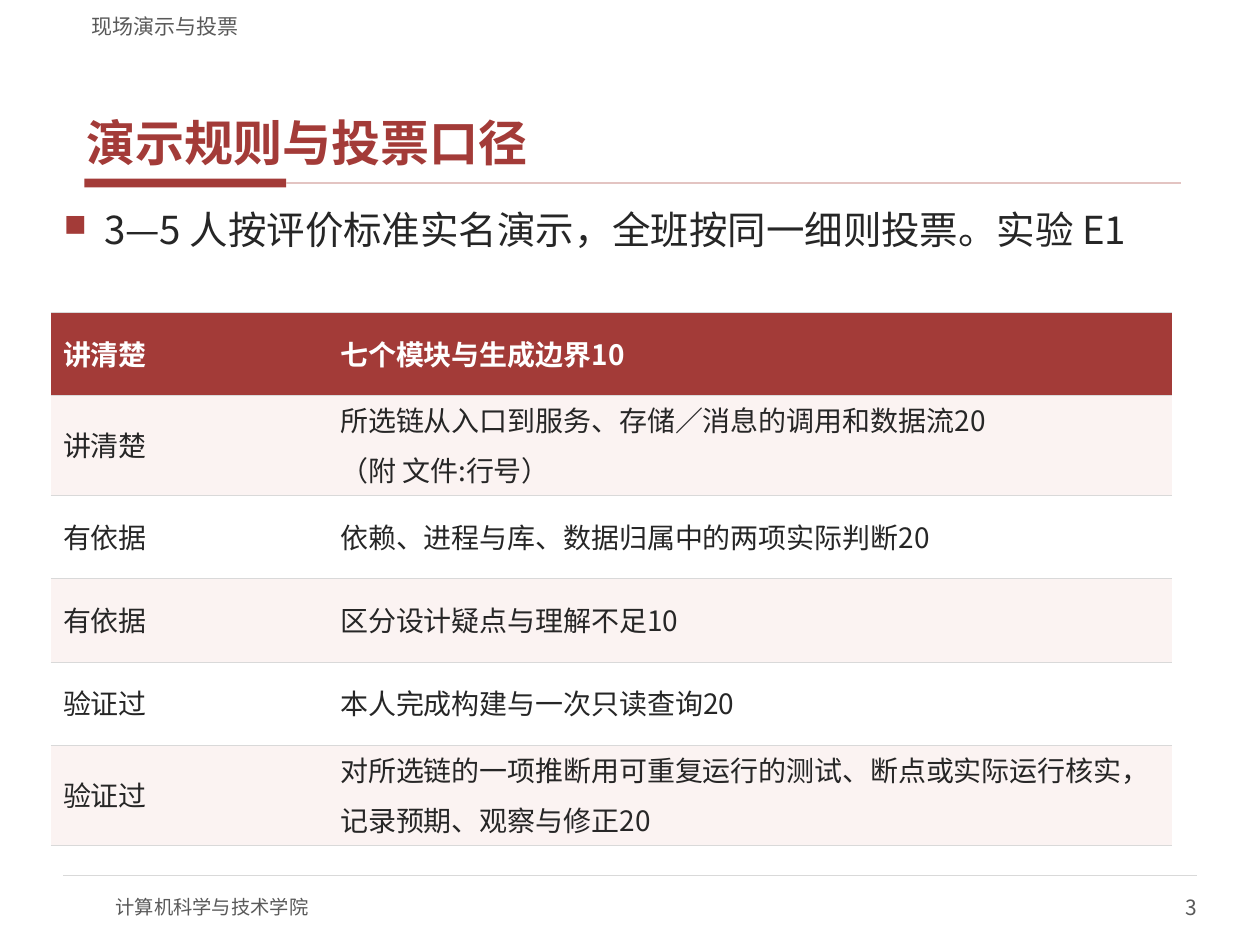
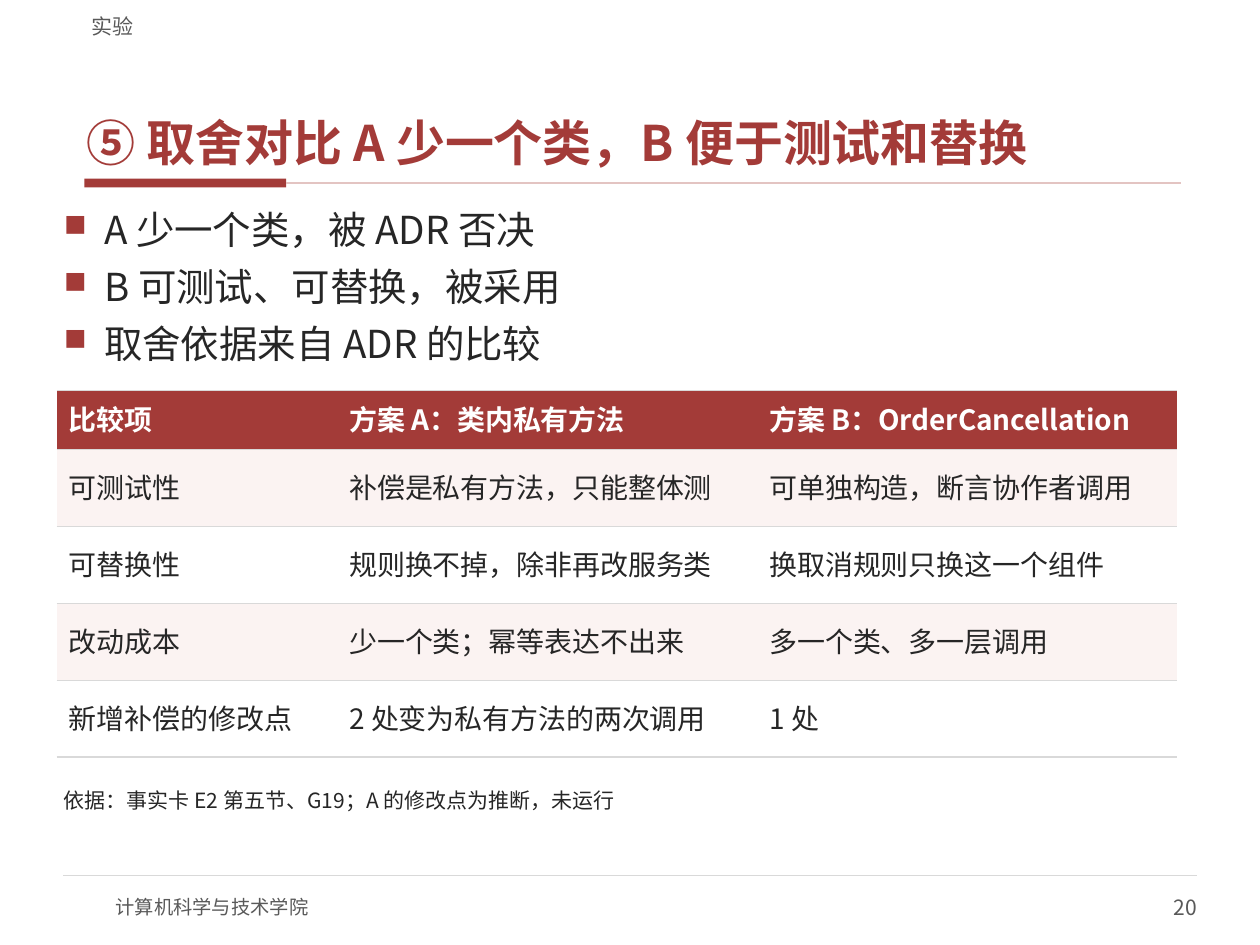
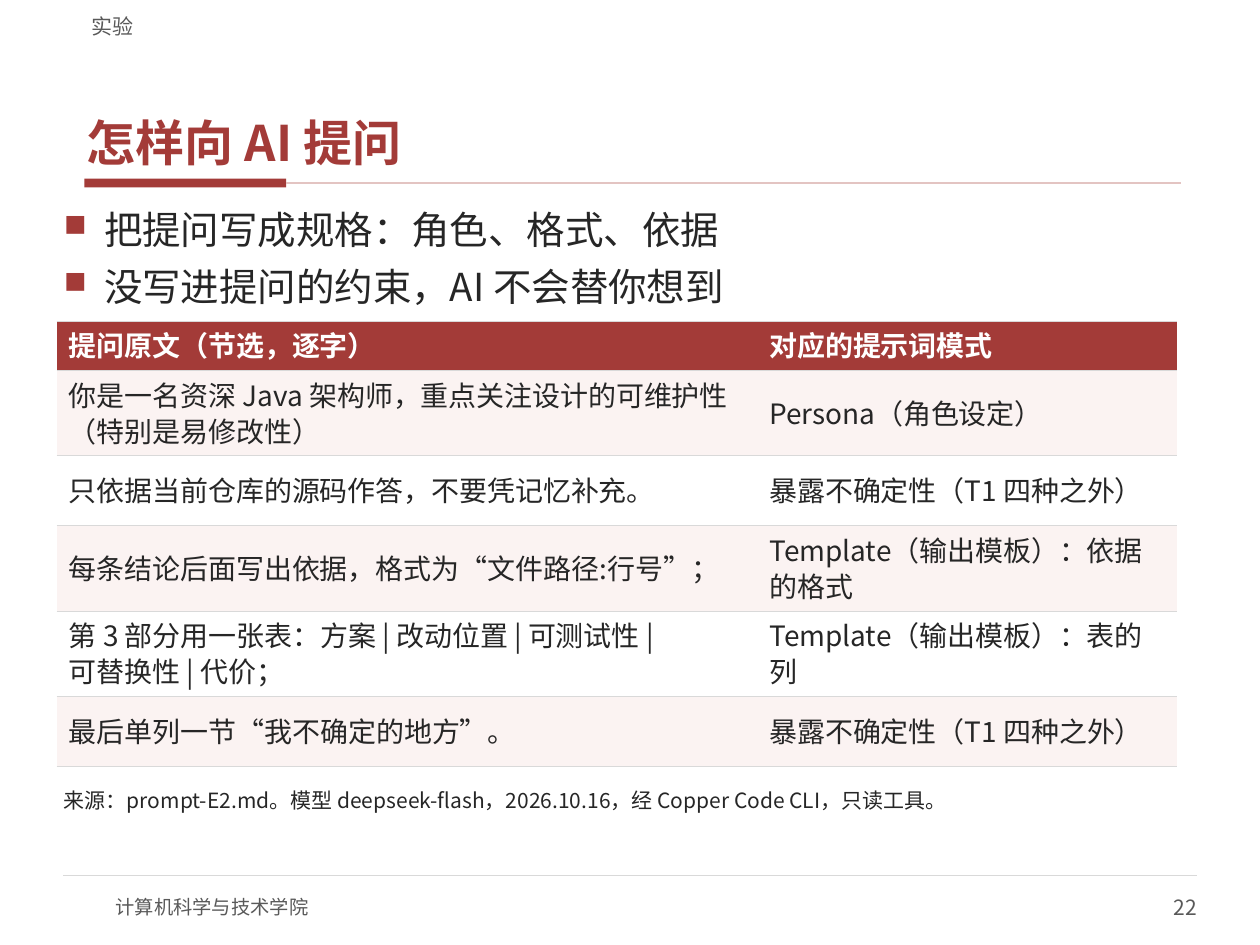
from dataclasses import dataclass

from lxml import etree
from pptx import Presentation
from pptx.dml.color import RGBColor
from pptx.enum.shapes import MSO_CONNECTOR, MSO_SHAPE
from pptx.enum.text import MSO_ANCHOR, PP_ALIGN
from pptx.oxml.ns import qn
from pptx.util import Cm, Pt

TOP, MIDDLE, BOTTOM = MSO_ANCHOR.TOP, MSO_ANCHOR.MIDDLE, MSO_ANCHOR.BOTTOM
LEFT, RIGHT = PP_ALIGN.LEFT, PP_ALIGN.RIGHT
STRAIGHT, RECTANGLE = MSO_CONNECTOR.STRAIGHT, MSO_SHAPE.RECTANGLE
RIGHT_SIDE = 3

SCHOOL = "计算机科学与技术学院"

SLIDES = [
    {
        "section": "现场演示与投票",
        "page": 3,
        "title": "演示规则与投票口径",
        "points": ["3—5 人按评价标准实名演示，全班按同一细则投票。实验 E1"],
        "table": {
            "at": (1.02, 6.3),
            "columns": (5.59, 17.02),
            "heights": (1.68, 2.01, 1.68, 1.68, 1.68, 2.01),
            "rows": [
                ("讲清楚", "七个模块与生成边界10"),
                ("讲清楚", "所选链从入口到服务、存储／消息的调用和数据流20\n（附 文件:行号）"),
                ("有依据", "依赖、进程与库、数据归属中的两项实际判断20"),
                ("有依据", "区分设计疑点与理解不足10"),
                ("验证过", "本人完成构建与一次只读查询20"),
                ("验证过", "对所选链的一项推断用可重复运行的测试、断点或实际运行核实，\n记录预期、观察与修正20"),
            ],
        },
    },
    {
        "section": "实验",
        "page": 20,
        "title": "⑤ 取舍对比 A 少一个类，B 便于测试和替换",
        "points": ["A 少一个类，被 ADR 否决", "B 可测试、可替换，被采用", "取舍依据来自 ADR 的比较"],
        "table": {
            "at": (1.14, 7.87),
            "columns": (5.65, 8.47, 8.47),
            "heights": (1.19, 1.55, 1.55, 1.55, 1.55),
            "rows": [
                ("比较项", "方案 A：类内私有方法", "方案 B：OrderCancellation"),
                ("可测试性", "补偿是私有方法，只能整体测", "可单独构造，断言协作者调用"),
                ("可替换性", "规则换不掉，除非再改服务类", "换取消规则只换这一个组件"),
                ("改动成本", "少一个类；幂等表达不出来", "多一个类、多一层调用"),
                ("新增补偿的修改点", "2 处变为私有方法的两次调用", "1 处"),
            ],
        },
        "source": "依据：事实卡 E2 第五节、G19；A 的修改点为推断，未运行",
    },
    {
        "section": "实验",
        "page": 22,
        "title": "怎样向 AI 提问",
        "points": ["把提问写成规格：角色、格式、依据", "没写进提问的约束，AI 不会替你想到"],
        "table": {
            "at": (1.14, 6.48),
            "columns": (14.12, 8.47),
            "heights": (0.99, 1.72, 1.41, 1.72, 1.72, 1.41),
            "rows": [
                ("提问原文（节选，逐字）", "对应的提示词模式"),
                ("你是一名资深 Java 架构师，重点关注设计的可维护性（特别是易修改性）", "Persona（角色设定）"),
                ("只依据当前仓库的源码作答，不要凭记忆补充。", "暴露不确定性（T1 四种之外）"),
                ("每条结论后面写出依据，格式为“文件路径:行号”；", "Template（输出模板）：依据的格式"),
                ("第 3 部分用一张表：方案 | 改动位置 | 可测试性 |\v可替换性 | 代价；", "Template（输出模板）：表的列"),
                ("最后单列一节“我不确定的地方”。", "暴露不确定性（T1 四种之外）"),
            ],
        },
        "source": "来源：prompt-E2.md。模型 deepseek-flash，2026.10.16，经 Copper Code CLI，只读工具。",
    },
]


@dataclass(frozen=True)
class Theme:
    font: str = "Noto Sans CJK SC"
    accent: str = "A33B38"
    accent_soft: str = "E3C4C2"
    band: str = "FBF3F2"
    paper: str = "FFFFFF"
    ink: str = "262626"
    muted: str = "595959"
    grid: str = "D9D9D9"
    title_size: int = 28
    point_size: int = 22
    cell_size: int = 16
    small_size: int = 12
    school_size: int = 11


THEME = Theme()
TEXT_INSETS = (0.15, 0.05)
CELL_INSETS = (0.25, 0.13)
NO_INSETS = (0, 0)

TEXT_STYLES = {
    "title": {"size": THEME.title_size, "color": THEME.accent, "bold": True},
    "point": {"size": THEME.point_size, "color": THEME.ink},
    "header": {"size": THEME.cell_size, "color": THEME.paper, "bold": True},
    "cell": {"size": THEME.cell_size, "color": THEME.ink},
    "source": {"size": THEME.small_size, "color": THEME.ink},
    "label": {"size": THEME.small_size, "color": THEME.muted},
    "school": {"size": THEME.school_size, "color": THEME.muted},
}


def rgb(value):
    return RGBColor.from_string(value)


def apply(target, values):
    for name, value in values.items():
        setattr(target, name, value)


def place_text(holder, anchor, insets):
    across, down = map(Cm, insets)
    apply(holder, {
        "vertical_anchor": anchor,
        "margin_left": across,
        "margin_right": across,
        "margin_top": down,
        "margin_bottom": down,
    })


def write(paragraph, text, style, **layout):
    paragraph.text = text
    apply(paragraph, layout)
    for run in paragraph.runs:
        run.font.color.rgb = rgb(style["color"])
        apply(run.font, {
            "size": Pt(style["size"]),
            "bold": style.get("bold", False),
            "name": THEME.font,
        })
        etree.SubElement(run.font._element, qn("a:ea"), typeface=THEME.font)


def add_text_frame(slide, box, anchor=TOP, insets=TEXT_INSETS):
    frame = slide.shapes.add_textbox(*map(Cm, box)).text_frame
    frame.word_wrap = True
    place_text(frame, anchor, insets)
    return frame


def add_label(slide, box, text, style, anchor=TOP, insets=TEXT_INSETS, align=LEFT):
    frame = add_text_frame(slide, box, anchor, insets)
    write(frame.paragraphs[0], text, TEXT_STYLES[style], alignment=align)


def add_rule(slide, start, end, color, width):
    rule = slide.shapes.add_connector(STRAIGHT, *map(Cm, start + end))
    rule.line.color.rgb = rgb(color)
    rule.line.width = Pt(width)
    etree.SubElement(rule._element.spPr, qn("a:effectLst"))
    return rule


def add_frame(slide, section, page, title):
    bar = slide.shapes.add_shape(RECTANGLE, *map(Cm, (1.7, 3.6, 4.07, 0.18)))
    bar.shadow.inherit = False
    bar.fill.solid()
    bar.fill.fore_color.rgb = rgb(THEME.accent)
    bar.line.fill.background()
    title_rule = add_rule(slide, (5.77, 3.69), (23.8, 3.69), THEME.accent_soft, 1)
    title_rule.begin_connect(bar, RIGHT_SIDE)
    add_rule(slide, (1.27, 17.65), (24.13, 17.65), THEME.grid, 0.75)
    add_label(slide, (2.33, 17.78, 10.16, 1.02), SCHOOL, "school", MIDDLE, NO_INSETS)
    add_label(slide, (19.05, 17.78, 5.08, 1.02), str(page), "label", MIDDLE, NO_INSETS, RIGHT)
    add_label(slide, (1.6, 0.84, 22.23, 2.67), title, "title", BOTTOM)
    add_label(slide, (1.6, 0.1, 22.23, 0.69), section, "label", BOTTOM, (0.25, 0))


def add_bullet(paragraph):
    properties = paragraph._p.get_or_add_pPr()
    indent = Cm(0.81)
    properties.set("marL", str(indent))
    properties.set("indent", str(-indent))
    color = etree.SubElement(properties, qn("a:buClr"))
    etree.SubElement(color, qn("a:srgbClr"), val=THEME.accent)
    etree.SubElement(properties, qn("a:buSzPct"), val="80000")
    etree.SubElement(properties, qn("a:buChar"), char="■")


def add_points(slide, points):
    frame = add_text_frame(slide, (1.14, 4.11, 23.11, 0.1 + 1.14 * len(points)))
    for index, point in enumerate(points):
        paragraph = frame.add_paragraph() if index else frame.paragraphs[0]
        add_bullet(paragraph)
        write(paragraph, point, TEXT_STYLES["point"],
              space_before=Pt(4 if index else 0), space_after=Pt(2))


def set_borders(cell):
    properties = cell._tc.get_or_add_tcPr()
    for position, side in enumerate(("lnL", "lnR", "lnT", "lnB")):
        border = etree.Element(qn("a:" + side), w=str(Pt(0.75)))
        if side in ("lnT", "lnB"):
            fill = etree.SubElement(border, qn("a:solidFill"))
            etree.SubElement(fill, qn("a:srgbClr"), val=THEME.grid)
        else:
            etree.SubElement(border, qn("a:noFill"))
        properties.insert(position, border)


def fill_cell(cell, text, row):
    place_text(cell, MIDDLE, CELL_INSETS)
    cell.fill.solid()
    background = THEME.accent if row == 0 else THEME.band if row % 2 else THEME.paper
    cell.fill.fore_color.rgb = rgb(background)
    set_borders(cell)
    style = TEXT_STYLES["cell" if row else "header"]
    for index, part in enumerate(text.split("\n")):
        paragraph = cell.text_frame.add_paragraph() if index else cell.text_frame.paragraphs[0]
        write(paragraph, part, style, line_spacing=0.9,
              space_before=Pt(8 if index else 0))


def add_comparison(slide, at, columns, heights, rows):
    size = (sum(columns), sum(heights))
    table = slide.shapes.add_table(len(rows), len(columns), *map(Cm, at + size)).table
    apply(table, {"first_row": False, "horz_banding": False})
    for column, width in zip(table.columns, columns):
        column.width = Cm(width)
    for row, (height, texts) in enumerate(zip(heights, rows)):
        table.rows[row].height = Cm(height)
        for column, text in enumerate(texts):
            fill_cell(table.cell(row, column), text, row)


def main():
    deck = Presentation()
    apply(deck, {"slide_width": Cm(25.4), "slide_height": Cm(19.05)})
    blank = deck.slide_layouts[6]
    for content in SLIDES:
        slide = deck.slides.add_slide(blank)
        add_frame(slide, content["section"], content["page"], content["title"])
        add_points(slide, content["points"])
        add_comparison(slide, **content["table"])
        if "source" in content:
            add_label(slide, (1.14, 15.82, 23.11, 0.81), content["source"], "source")
    deck.save("out.pptx")


if __name__ == "__main__":
    main()
